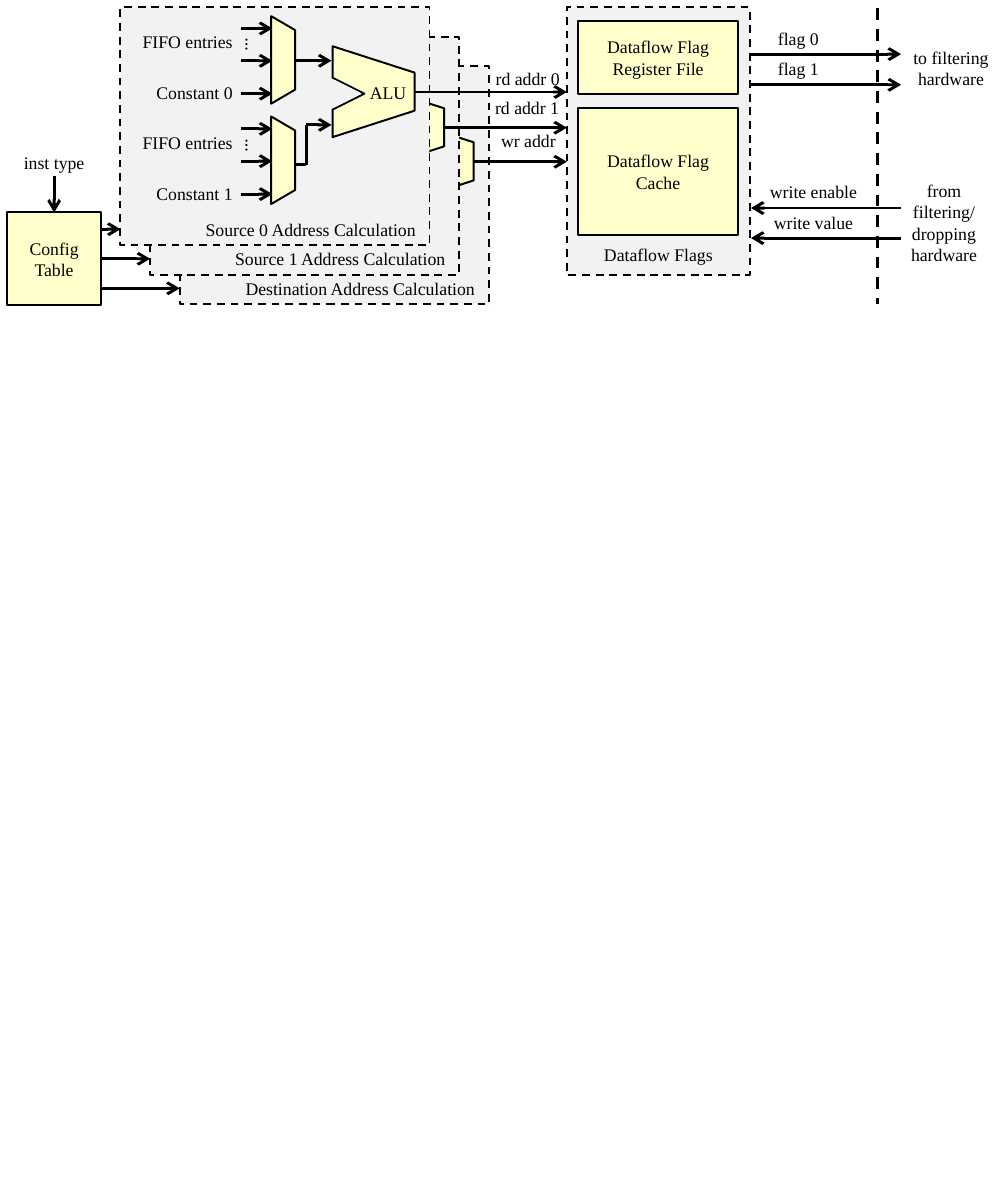
from lxml.etree import SubElement
from pptx import Presentation
from pptx.dml.color import RGBColor
from pptx.enum.dml import MSO_LINE
from pptx.enum.shapes import MSO_CONNECTOR as Connector, MSO_SHAPE as Shape
from pptx.enum.text import MSO_ANCHOR as Anchor, MSO_AUTO_SIZE as AutoSize, PP_ALIGN as Align
from pptx.oxml.ns import qn
from pptx.util import Cm, Pt

BLACK, GREY, YELLOW, WHITE = "000000", "F2F2F2", "FFFFCC", "FFFFFF"
SERIF = "Times New Roman"


def color(hex_value):
    """Turn a hex string into a colour."""
    return RGBColor.from_string(hex_value)


def write(frame, text, align, font):
    """Fill a text frame with one paragraph for each line of text."""
    frame.word_wrap = True
    for index, line in enumerate(text.split("\n")):
        paragraph = frame.paragraphs[0] if index == 0 else frame.add_paragraph()
        paragraph.alignment = align
        run = paragraph.add_run()
        run.text = line
        run.font.size, run.font.name = Pt(9), font
        run.font.color.rgb = color(BLACK)


def add_label(slide, text, left, top, width, align=Align.CENTER, height=0.64,
              font=SERIF, rotation=0):
    """Place a text label."""
    label = slide.shapes.add_textbox(Cm(left), Cm(top), Cm(width), Cm(height))
    label.rotation = rotation
    write(label.text_frame, text, align, font)
    label.text_frame.auto_size = AutoSize.SHAPE_TO_FIT_TEXT


def add_block(slide, kind, left, top, width, height, fill=YELLOW, line=BLACK,
              rotation=0, slant=None, dashed=False, text=None):
    """Place an outlined shape, with centred text if any."""
    block = slide.shapes.add_shape(kind, Cm(left), Cm(top), Cm(width), Cm(height))
    block.shadow.inherit = False
    block.rotation = rotation
    block.fill.solid()
    block.fill.fore_color.rgb = color(fill)
    block.line.color.rgb = color(line)
    block.line.width = Pt(1)
    if dashed:
        block.line.dash_style = MSO_LINE.DASH
    if slant is not None:
        block.adjustments[0] = slant
    if text:
        block.text_frame.vertical_anchor = Anchor.MIDDLE
        write(block.text_frame, text, Align.CENTER, SERIF)
    return block


def add_wire(slide, x1, y1, x2, y2, arrow=True, dashed=False):
    """Draw a straight wire, with an arrowhead at its end unless told otherwise."""
    wire = slide.shapes.add_connector(Connector.STRAIGHT, Cm(x1), Cm(y1), Cm(x2), Cm(y2))
    wire.line.color.rgb = color(BLACK)
    wire.line.width = Pt(1.5)
    if dashed:
        wire.line.dash_style = MSO_LINE.DASH
    if arrow:
        SubElement(wire.line._get_or_add_ln(), qn("a:tailEnd"), type="arrow")
    SubElement(wire._element.spPr, qn("a:effectLst"))
    return wire


def add_config_table(slide, left, top):
    """Place the config table and its instruction type input."""
    table = add_block(slide, Shape.RECTANGLE, left, top, 1.68, 1.66, text="Config Table")
    add_label(slide, "inst type", left, top - 1.22, 1.68)
    add_wire(slide, left + 0.84, top - 0.66, left + 0.84, top).end_connect(table, 0)
    return table


def add_address_stage(slide, left, top, name, alu_top, config_right, flags_left):
    """Place an address panel with its ALU and return its wire from the config table."""
    add_block(slide, Shape.RECTANGLE, left, top, 5.54, 4.27, GREY, dashed=True)
    add_block(slide, Shape.TRAPEZOID, left + 3.72, top + alu_top, 1.63, 1.47,
              rotation=90, slant=0.322)
    add_label(slide, f"{name} Address Calculation", left + 0.84, top + 3.66, 4.7, Align.RIGHT)
    output_y = top + alu_top + 0.74
    add_wire(slide, left + 5.27, output_y, flags_left, output_y)
    return add_wire(slide, config_right, top + 3.98, left, top + 3.98)


def add_mux(slide, left, top, number):
    """Place a multiplexer with its FIFO and constant inputs."""
    add_label(slide, "FIFO entries", left, top, 2.16, Align.RIGHT)
    add_label(slide, f"Constant {number}", left, top + 0.92, 2.16, Align.RIGHT)
    add_label(slide, "…", left + 1.91, top + 0.05, 0.71, Align.LEFT, font="Calibri", rotation=90)
    add_block(slide, Shape.TRAPEZOID, left + 2.03, top + 0.43, 1.57, 0.43,
              rotation=90, slant=0.586)
    for input_y in (0.08, 0.66, 1.25):
        add_wire(slide, left + 2.06, top + input_y, left + 2.62, top + input_y)


def add_source_logic(slide, left, top):
    """Place the multiplexers, their wires and the ALU notch inside the front panel."""
    for number in range(2):
        add_mux(slide, left + 0.1, top + 0.3 + 1.8 * number, number)
    for shift, fill, line in ((3.81, WHITE, BLACK), (3.73, GREY, GREY)):
        add_block(slide, Shape.ISOSCELES_TRIANGLE, left + shift, top + 1.27, 0.56, 0.56,
                  fill, line, rotation=90)
    add_label(slide, "ALU", left + 4.22, top + 1.22, 1.24, Align.LEFT)
    add_wire(slide, left + 3.15, top + 0.96, left + 3.78, top + 0.96)
    add_wire(slide, left + 3.15, top + 2.82, left + 3.33, top + 2.82, arrow=False)
    add_wire(slide, left + 3.33, top + 2.82, left + 3.33, top + 2.11, arrow=False)
    add_wire(slide, left + 3.33, top + 2.11, left + 3.78, top + 2.11)


def add_flags(slide, left, top):
    """Place the dataflow flags panel with its address labels."""
    add_block(slide, Shape.RECTANGLE, left, top, 3.28, 4.8, GREY, dashed=True)
    add_label(slide, "Dataflow Flags", left, top + 4.11, 3.28)
    add_block(slide, Shape.RECTANGLE, left + 0.2, top + 0.25, 2.87, 1.3,
              text="Dataflow Flag Register File")
    add_block(slide, Shape.RECTANGLE, left + 0.2, top + 1.8, 2.87, 2.29,
              text="Dataflow Flag\nCache")
    for text, right, label_top in (("rd addr 0", 0.12, 0.96), ("rd addr 1", 0.11, 1.49),
                                   ("wr addr", 0.05, 2.08)):
        add_label(slide, text, left + right - 1.9, top + label_top, 1.9, Align.RIGHT)


def add_hardware_ports(slide, left, top):
    """Place the flag outputs, write inputs and the hardware boundary."""
    right = left + 2.69
    for text, wire_y, label_top in (("flag 0", 0.84, 0.25), ("flag 1", 1.39, 0.78)):
        add_wire(slide, left, top + wire_y, right, top + wire_y)
        add_label(slide, text, left, top + label_top, 1.7)
    for text, wire_y, label_top in (("write enable", 3.6, 2.99), ("write value", 4.14, 3.55)):
        add_wire(slide, right, top + wire_y, left, top + wire_y)
        add_label(slide, text, left, top + label_top, 2.24)
    add_wire(slide, left + 2.26, top + 0.02, left + 2.26, top + 5.33, arrow=False, dashed=True)
    add_label(slide, "to filtering hardware", left + 2.57, top + 0.58, 2.03, height=1.02)
    add_label(slide, "from filtering/ dropping hardware", left + 2.42, top + 2.97, 2.08,
              height=1.8)


def main():
    """Build the slide."""
    deck = Presentation()
    deck.slide_width, deck.slide_height = Cm(17.78), Cm(21.59)
    slide = deck.slides.add_slide(deck.slide_layouts[6])
    left, top, step, flags_left = 2.16, 0.13, 0.53, 10.16
    config = add_config_table(slide, 0.13, 3.81)
    for depth, name, alu_top in ((2, "Destination", 0.97), (1, "Source 1", 0.89),
                                 (0, "Source 0", 0.78)):
        config_wire = add_address_stage(slide, left + step * depth, top + step * depth,
                                        name, alu_top, 1.81, flags_left)
        if depth == 1:
            config_wire.begin_connect(config, 3)
    add_source_logic(slide, left, top)
    add_flags(slide, flags_left, top)
    add_hardware_ports(slide, 13.46, top)
    deck.save("out.pptx")


if __name__ == "__main__":
    main()
